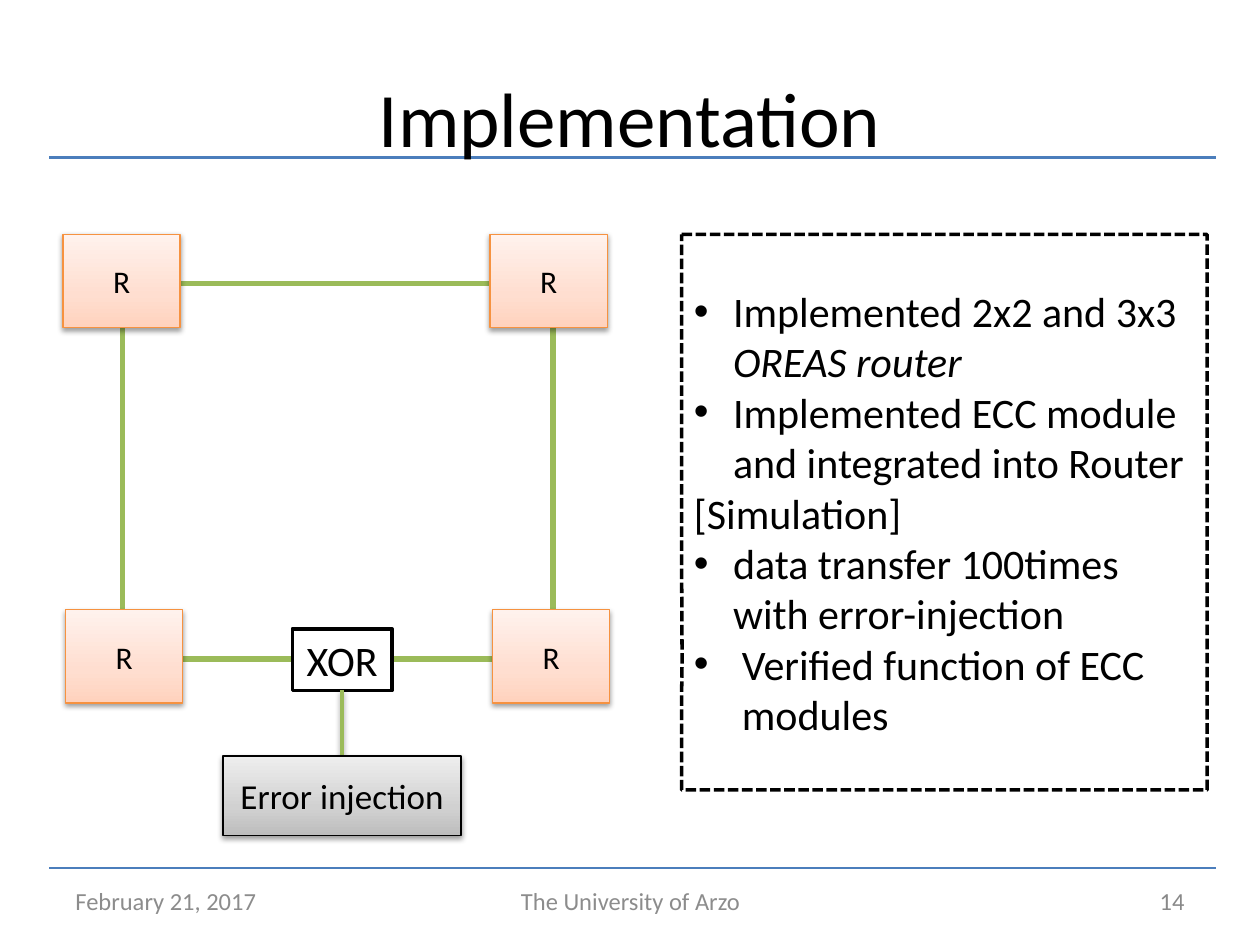
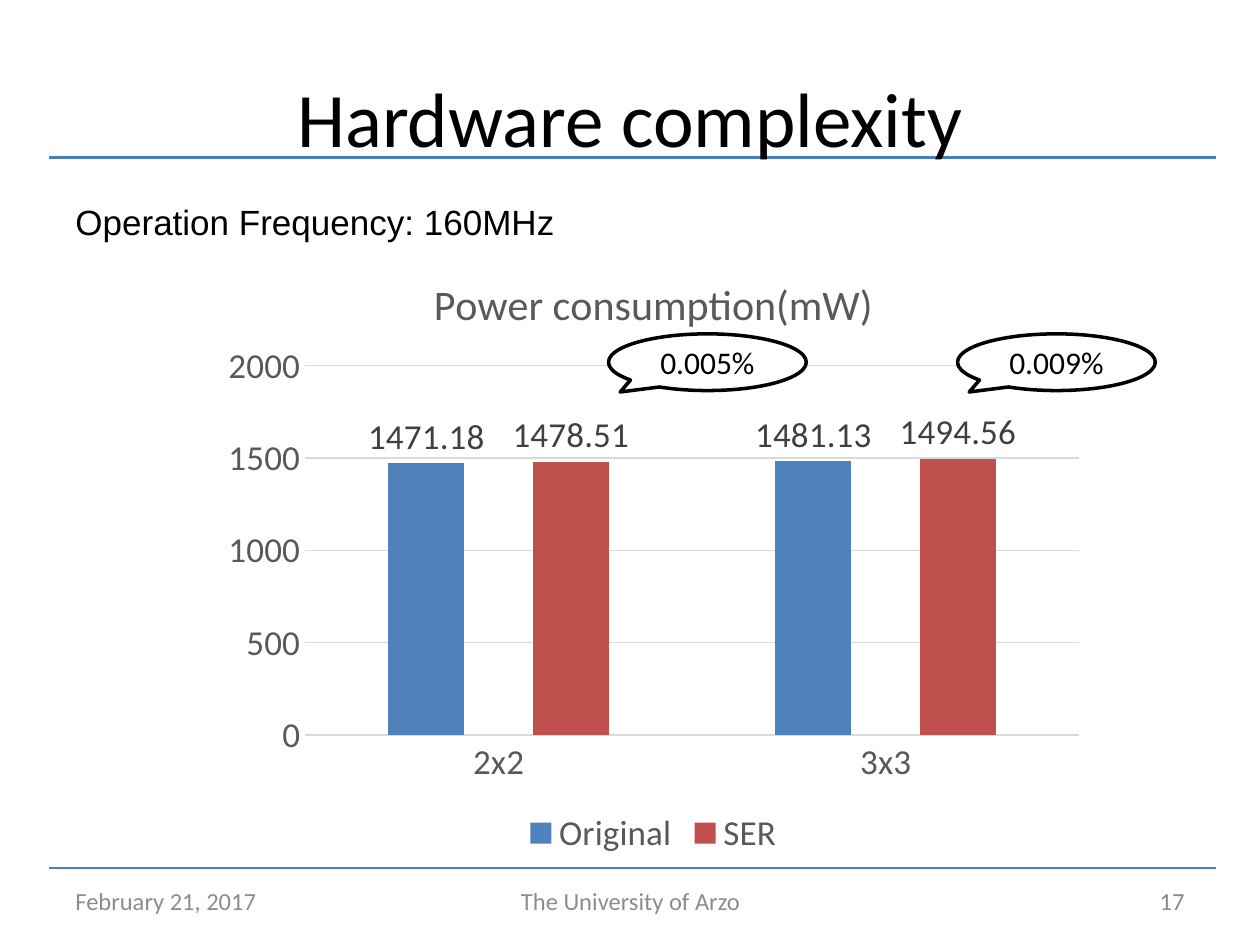
"""Build two slides on a router implementation and its hardware complexity."""
import pptx
import pptx.chart.data
import pptx.dml.color
import pptx.enum.chart
import pptx.enum.dml
import pptx.enum.shapes
import pptx.enum.text
import pptx.oxml
import pptx.oxml.ns
import pptx.util

Inches, Pt, qn = pptx.util.Inches, pptx.util.Pt, pptx.oxml.ns.qn
SHAPE = pptx.enum.shapes.MSO_SHAPE
ALIGN = pptx.enum.text.PP_ALIGN
MIDDLE = pptx.enum.text.MSO_ANCHOR.MIDDLE

COLORS = {
    "black": "000000", "white": "FFFFFF", "band": "4B7EBC", "footer": "8C8C8C",
    "number": "898989", "link": "9BBB59", "router": "F69240", "grid": "D9D9D9",
    "axis": "595959", "label": "404040", "base": "4F81BD", "ser": "C0504D",
}
ROUTER_FILL = [(0, "FFD2BD"), (35, "FFDED0"), (100, "FFF2ED")]
ERROR_FILL = [(0, "BDBDBD"), (35, "D1D1D1"), (100, "EEEEEE")]
DATE, PLACE = "February 21, 2017", "The University of Arzo"
BANDS = [(6.89, 1.5), (1.25, 2.25)]

ROUTER_SIZE = (0.93, 0.74)
ROUTER_ROWS = [(1.86, 0.5), (4.84, 0.52)]
ROUTER_STEP = 3.39
NOTES = [
    (0.31, [("Implemented 2x2 and 3x3 ", False), ("OREAS router", True)]),
    (0.31, [("Implemented ECC module and integrated into Router", False)]),
    (0, [("[Simulation]", False)]),
    (0.31, [("data transfer 100times with error-injection", False)]),
    (0.38, [("Verified function of ECC modules", False)]),
]

FREQUENCY = "Operation Frequency: 160MHz"
CHART_TITLE = "Power consumption(mW)"
SIZES = ["2x2", "3x3"]
POWER = [("Original", "base", (1471.18, 1481.13)), ("SER", "ser", (1478.51, 1494.56))]
PLOT_AREA = {"x": 0.107, "y": 0.19, "w": 0.874, "h": 0.603}
INCREASES = [(4.83, "0.005%"), (7.6, "0.009%")]


def rgb(name):
    return pptx.dml.color.RGBColor.from_string(COLORS[name])


def set_font(font, size, color="black", name="Calibri"):
    font.size, font.name, font.bold = Pt(size), name, False
    font.color.rgb = rgb(color)


def add_run(p, text, size, color="black", name="Calibri", italic=False):
    r = p.add_run()
    r.text = text
    set_font(r.font, size, color, name)
    r.font.italic = italic


def add_text(s, box, text, size, color="black", align=ALIGN.LEFT, anchor=MIDDLE, name="Calibri"):
    tf = s.shapes.add_textbox(*map(Inches, box)).text_frame
    tf.word_wrap, tf.vertical_anchor = True, anchor
    tf.paragraphs[0].alignment = align
    add_run(tf.paragraphs[0], text, size, color, name)


def add_shadow(effects):
    effects.append(pptx.oxml.parse_xml(
        f'<a:outerShdw {pptx.oxml.ns.nsdecls("a")} blurRad="40000" dist="20000" dir="5400000" '
        'rotWithShape="0"><a:srgbClr val="000000"><a:alpha val="38000"/></a:srgbClr></a:outerShdw>'))


def add_line(s, ends, color, width):
    line = s.shapes.add_connector(pptx.enum.shapes.MSO_CONNECTOR.STRAIGHT, *map(Inches, ends))
    line.line.color.rgb, line.line.width = rgb(color), Pt(width)
    effects = pptx.oxml.parse_xml(f'<a:effectLst {pptx.oxml.ns.nsdecls("a")}/>')
    line._element.spPr.append(effects)
    return line, effects


def add_box(s, box, text="", size=18, line="black", width=2, fill="white", kind=SHAPE.RECTANGLE):
    sp = s.shapes.add_shape(kind, *map(Inches, box))
    sp.shadow.inherit = False
    sp.line.color.rgb, sp.line.width = rgb(line), Pt(width)
    if fill is None:
        sp.fill.background()
    else:
        sp.fill.solid()
        sp.fill.fore_color.rgb = rgb(fill)
    tf = sp.text_frame
    tf.word_wrap, tf.vertical_anchor = True, MIDDLE
    if text:
        tf.paragraphs[0].alignment = ALIGN.CENTER
        add_run(tf.paragraphs[0], text, size)
    return sp


def add_shaded_box(s, box, text, size, line, stops):
    sp = add_box(s, box, text, size, line, 0.75)
    sp_pr = sp._element.spPr
    marks = "".join(f'<a:gs pos="{pos * 1000}"><a:srgbClr val="{c}"/></a:gs>' for pos, c in stops)
    gradient = pptx.oxml.parse_xml(
        f'<a:gradFill {pptx.oxml.ns.nsdecls("a")} rotWithShape="1"><a:gsLst>{marks}</a:gsLst>'
        '<a:lin ang="16200000" scaled="0"/></a:gradFill>')
    sp_pr.replace(sp_pr.find(qn("a:solidFill")), gradient)
    add_shadow(sp_pr.find(qn("a:effectLst")))
    return sp


def add_bullet(p, indent):
    p_pr = p._p.get_or_add_pPr()
    p_pr.set("marL", str(Inches(indent)))
    p_pr.set("indent", str(-Inches(indent)))
    for tag, key, value in [("buFont", "typeface", "Arial"), ("buChar", "char", "•")]:
        p_pr.append(pptx.oxml.parse_xml(f'<a:{tag} {pptx.oxml.ns.nsdecls("a")} {key}="{value}"/>'))


def add_slide(prs, title, number):
    s = prs.slides.add_slide(prs.slide_layouts[5])
    for y, width in BANDS:
        add_line(s, (0.39, y, 9.65, y), "band", width)
    sp = s.shapes.title
    sp.left, sp.top, sp.width, sp.height = map(Inches, (0.5, 0.3, 9, 1.25))
    s.shapes._spTree.append(sp._element)
    tf = sp.text_frame
    tf.vertical_anchor = MIDDLE
    tf.paragraphs[0].alignment = ALIGN.CENTER
    add_run(tf.paragraphs[0], title, 44)
    add_text(s, (0.5, 6.95, 2.33, 0.4), DATE, 14, "footer")
    add_text(s, (3.42, 6.95, 3.17, 0.4), PLACE, 14, "footer", ALIGN.CENTER)
    add_text(s, (7.17, 6.95, 2.33, 0.4), number, 14, "number", ALIGN.RIGHT)
    return s


def build_implementation(prs):
    s = add_slide(prs, "Implementation", "14")
    add_box(s, (0.97, 2.25, 3.42, 2.98), line="link", width=3, fill=None)
    for top, left in ROUTER_ROWS:
        for col in range(2):
            box = (left + col * ROUTER_STEP, top, *ROUTER_SIZE)
            add_shaded_box(s, box, "R", 18, "router", ROUTER_FILL)

    notes = add_box(s, (5.41, 1.86, 4.17, 4.41), kind=SHAPE.RECTANGULAR_CALLOUT)
    notes.adjustments[0], notes.adjustments[1] = -0.499, 0.266
    notes.line.dash_style = pptx.enum.dml.MSO_LINE.SQUARE_DOT
    tf = notes.text_frame
    for i, (indent, runs) in enumerate(NOTES):
        p = tf.add_paragraph() if i else tf.paragraphs[0]
        p.alignment = ALIGN.LEFT
        if indent:
            add_bullet(p, indent)
        for text, italic in runs:
            add_run(p, text, 24, italic=italic)

    xor = add_box(s, (2.32, 4.99, 0.79, 0.49), "XOR", 24)
    link, effects = add_line(s, (2.71, 5.48, 2.71, 6), "link", 2)
    add_shadow(effects)
    error = add_shaded_box(s, (1.77, 6, 1.89, 0.63), "Error injection", 20, "black", ERROR_FILL)
    link.begin_connect(xor, 2)
    link.end_connect(error, 0)


def add_power_chart(s):
    data = pptx.chart.data.CategoryChartData()
    data.categories = SIZES
    for name, _, values in POWER:
        data.add_series(name, values)
    chart = s.shapes.add_chart(pptx.enum.chart.XL_CHART_TYPE.COLUMN_CLUSTERED,
                               *map(Inches, (1.67, 1.98, 7.03, 4.86)), data).chart
    set_font(chart.font, 10)
    chart.has_title = True
    add_run(chart.chart_title.text_frame.paragraphs[0], CHART_TITLE, 24, "axis")
    chart.chart_title.include_in_layout = False
    chart.has_legend = True
    chart.legend.position = pptx.enum.chart.XL_LEGEND_POSITION.BOTTOM
    chart.legend.include_in_layout = False
    set_font(chart.legend.font, 20, "axis")

    cat, val = chart.category_axis, chart.value_axis
    for axis in (cat, val):
        axis.major_tick_mark = axis.minor_tick_mark = pptx.enum.chart.XL_TICK_MARK.NONE
        set_font(axis.tick_labels.font, 20, "axis")
    val.minimum_scale, val.maximum_scale, val.major_unit = 0, 2000, 500
    val.format.line.fill.background()
    for part in (cat, val.major_gridlines):
        part.format.line.color.rgb, part.format.line.width = rgb("grid"), Pt(0.75)

    plot = chart.plots[0]
    plot.gap_width, plot.overlap, plot.vary_by_categories = 219, -90, False
    for series, (_, color, _) in zip(plot.series, POWER):
        series.format.fill.solid()
        series.format.fill.fore_color.rgb = rgb(color)
        labels = series.data_labels
        labels.show_value = True
        labels.position = pptx.enum.chart.XL_LABEL_POSITION.OUTSIDE_END
        set_font(labels.font, 20, "label")

    area = chart._chartSpace.chart.plotArea
    for old in area.findall(qn("c:layout")):
        area.remove(old)
    sizes = "".join(f'<c:{key} val="{value}"/>' for key, value in PLOT_AREA.items())
    area.insert(0, pptx.oxml.parse_xml(
        f'<c:layout {pptx.oxml.ns.nsdecls("c")}><c:manualLayout><c:layoutTarget val="inner"/>'
        f'<c:xMode val="edge"/><c:yMode val="edge"/>{sizes}</c:manualLayout></c:layout>'))


def build_complexity(prs):
    s = add_slide(prs, "Hardware complexity", "17")
    add_text(s, (0.5, 1.54, 5.12, 0.44), FREQUENCY, 20,
             anchor=pptx.enum.text.MSO_ANCHOR.TOP, name="Arial")
    add_power_chart(s)
    for left, text in INCREASES:
        sp = add_box(s, (left, 2.65, 1.57, 0.45), text, kind=SHAPE.OVAL_CALLOUT)
        sp.adjustments[0], sp.adjustments[1] = -0.441, 0.525


def main():
    prs = pptx.Presentation()
    prs.slide_width, prs.slide_height = Inches(10), Inches(7.5)
    build_implementation(prs)
    build_complexity(prs)
    prs.save("out.pptx")


if __name__ == "__main__":
    main()
